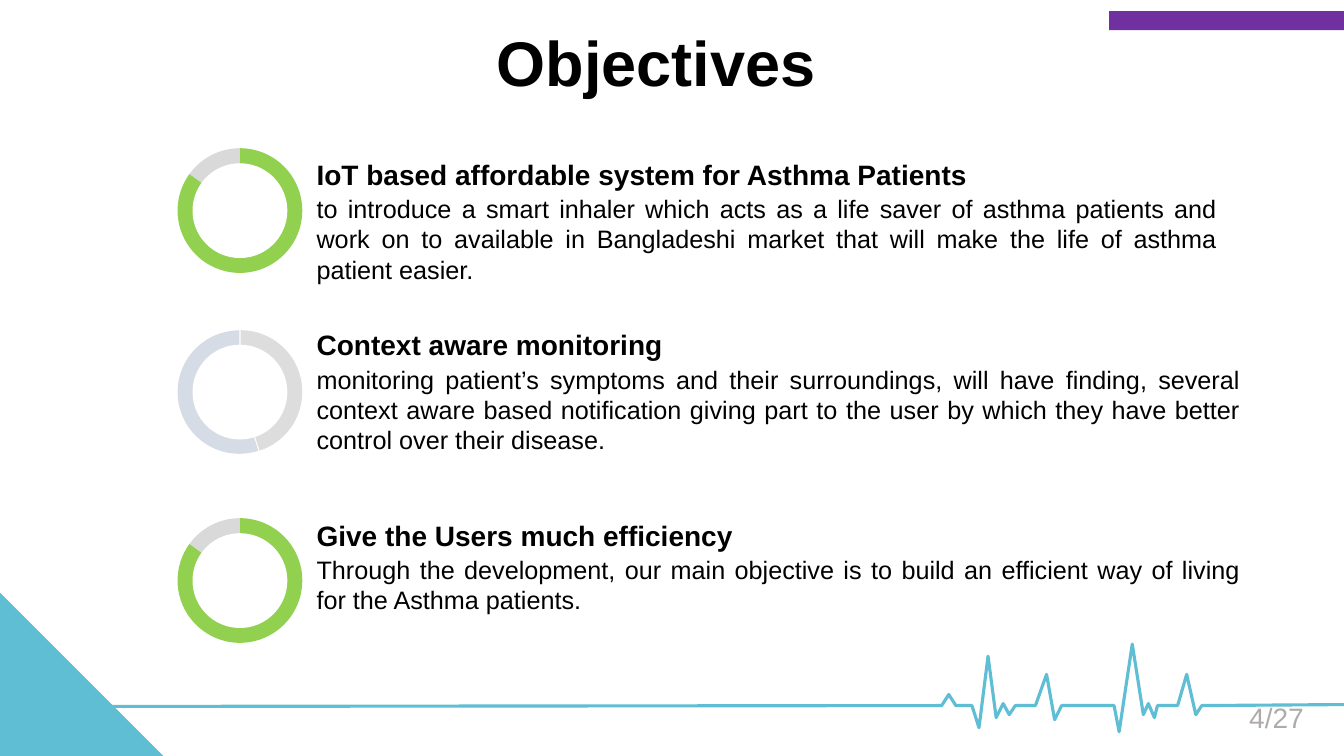
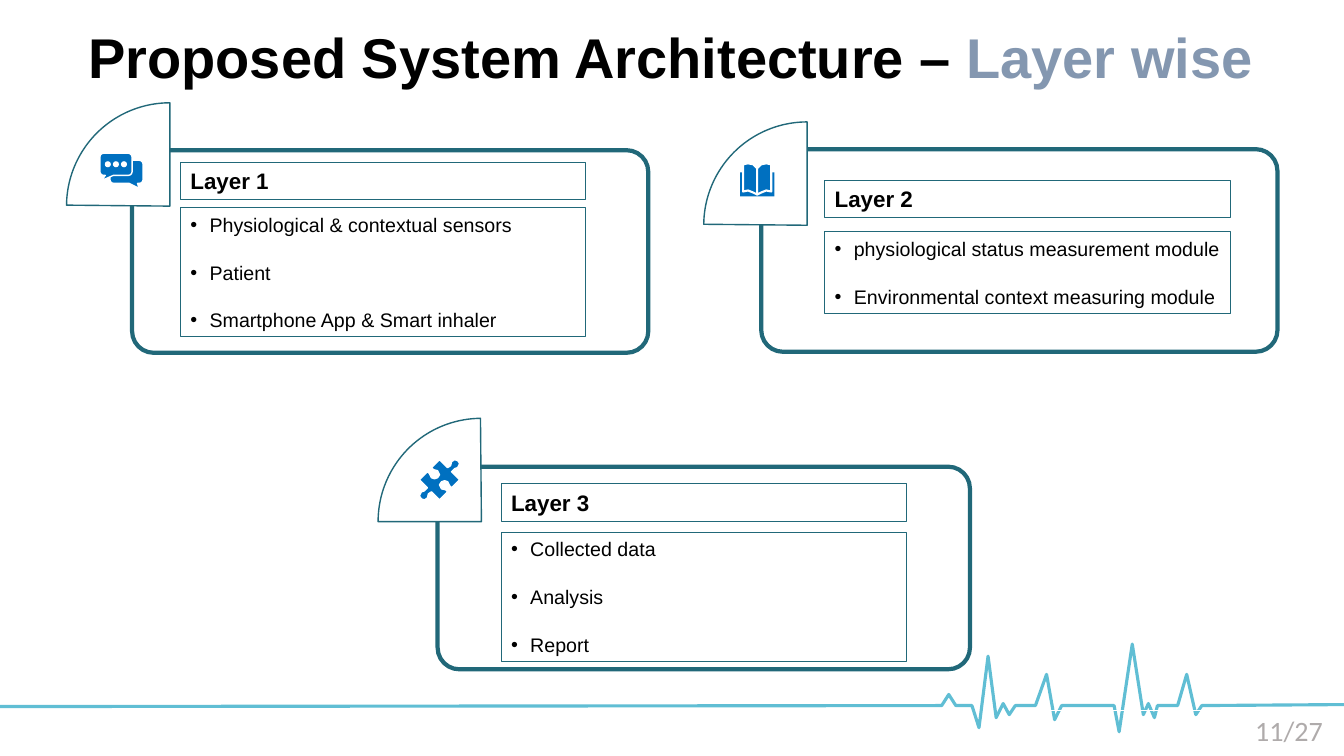
from lxml.etree import SubElement
from pptx import Presentation
from pptx.chart.data import CategoryChartData
from pptx.dml.color import RGBColor
from pptx.enum.chart import XL_CHART_TYPE as ChartType
from pptx.enum.shapes import MSO_SHAPE as Shape
from pptx.enum.text import MSO_ANCHOR as Anchor, PP_ALIGN as Align
from pptx.oxml import parse_xml
from pptx.oxml.ns import nsdecls, qn
from pptx.util import Inches, Pt

BLACK = RGBColor(0x00, 0x00, 0x00)
WHITE = RGBColor(0xFF, 0xFF, 0xFF)
AQUA = RGBColor(0x60, 0xBE, 0xD4)
PURPLE = RGBColor(0x70, 0x30, 0xA0)
TEAL = RGBColor(0x21, 0x68, 0x79)
BLUE = RGBColor(0x00, 0x70, 0xC0)
SLATE = RGBColor(0x84, 0x97, 0xB0)
GRAY = RGBColor(0xAF, 0xAB, 0xAB)
GREEN = RGBColor(0x92, 0xD0, 0x50)
LIGHT_GRAY = RGBColor(0xD9, 0xD9, 0xD9)
PALE_GRAY = RGBColor(0xDD, 0xDD, 0xDD)
PALE_BLUE = RGBColor(0xD6, 0xDC, 0xE5)

FONT = "Arial"

HEARTBEAT = [
    (13.33, 6.99), (11.92, 7), (11.86, 7.09), (11.77, 6.69), (11.68, 7),
    (11.48, 7), (11.45, 7.12), (11.39, 6.98), (11.34, 7.09), (11.23, 6.39),
    (11.1, 7.26), (11.05, 7), (10.53, 7), (10.46, 7.14), (10.38, 6.69),
    (10.27, 7), (10.07, 7), (10.01, 7.09), (9.95, 6.98), (9.88, 7.12),
    (9.8, 6.51), (9.71, 7.22), (9.64, 7), (9.48, 7), (9.41, 6.89),
    (9.34, 7), (-0.02, 7.01),
]
PUZZLE_HALF = [
    (0.08, -0.12), (0.11, -0.14), (0.12, -0.18), (0.15, -0.2), (0.18, -0.19),
    (0.2, -0.16), (0.18, -0.12), (0.15, -0.11), (0.12, -0.08), (0.2, 0),
    (0.12, 0.08), (0.1, 0.06), (0.08, 0.02), (0.05, 0.01), (0.02, 0.02),
    (0, 0.05), (0.02, 0.09), (0.06, 0.1), (0.08, 0.12), (0, 0.2),
]
BOOK_PAGE = [
    (0, 0.05), (0.04, 0.01), (0.09, 0), (0.14, 0.01),
    (0.14, 0.28), (0.09, 0.27), (0.04, 0.29), (0, 0.31),
]

OBJECTIVES = [
    (1.33, 1.56, 8.93, (85, 15), (GREEN, LIGHT_GRAY), 0,
     "IoT based affordable system for Asthma Patients",
     "to introduce a smart inhaler which acts as a life saver of asthma patients and work on "
     "to available in Bangladeshi market that will make the life of asthma patient easier."),
    (3.13, 3.25, 9.16, (45, 55), (PALE_GRAY, PALE_BLUE), 1,
     "Context aware monitoring",
     "monitoring patient’s symptoms and their surroundings, will have finding, several context "
     "aware based notification giving part to the user by which they have better control over "
     "their disease."),
    (5, 5.14, 9.16, (85, 15), (GREEN, LIGHT_GRAY), 0,
     "Give the Users much efficiency",
     "Through the development, our main objective is to build an efficient way of living for "
     "the Asthma patients."),
]
LAYERS = [
    ((1.31, 1.49, 5.12), (0.66, 1.02), (108.33, 162), (1.79, 1.61), 0.45, 1.28, "Layer 1",
     ["Physiological & contextual sensors", "Patient", "Smartphone App & Smart inhaler"]),
    ((7.55, 1.48, 5.12), (6.98, 1.21), (108.33, 162), (8.18, 1.79), 0.51, 0.81, "Layer 2",
     ["physiological status measurement module", "Environmental context measuring module"]),
    ((4.34, 4.63, 5.28), (3.75, 4.15), (108, 161.67), (4.97, 4.8), 0.48, 1.28, "Layer 3",
     ["Collected data", "Analysis", "Report"]),
]


def paint(shape, fill=None, line=None, width=1):
    shape.shadow.inherit = False
    if fill is None:
        shape.fill.background()
    else:
        shape.fill.solid()
        shape.fill.fore_color.rgb = fill
    if line is None:
        shape.line.fill.background()
    else:
        shape.line.color.rgb = line
        shape.line.width = Pt(width)


def add_preset(slide, kind, box, fill=None, line=None, width=1, adjustments=()):
    shape = slide.shapes.add_shape(kind, *map(Inches, box))
    for index, value in enumerate(adjustments):
        shape.adjustments[index] = value
    paint(shape, fill, line, width)
    return shape


def add_outline(slide, points, fill=None, line=None, width=1, close=True):
    corners = [(Inches(x), Inches(y)) for x, y in points]
    builder = slide.shapes.build_freeform(*corners[0])
    builder.add_line_segments(corners[1:], close=close)
    paint(builder.convert_to_shape(), fill, line, width)


def style(font, size, color=BLACK, bold=False, name=FONT):
    font.size = Pt(size)
    font.color.rgb = color
    font.bold = bold
    font.name = name


def write(shape, text, size, color=BLACK, bold=False, name=FONT,
          align=Align.LEFT, anchor=Anchor.TOP, inset=True):
    frame = shape.text_frame
    frame.word_wrap = True
    frame.vertical_anchor = anchor
    if not inset:
        frame.margin_left = frame.margin_right = frame.margin_top = frame.margin_bottom = 0
    frame.text = text
    for paragraph in frame.paragraphs:
        paragraph.alignment = align
        for run in paragraph.runs:
            style(run.font, size, color, bold, name)
    return frame


def add_text(slide, box, text, size, **options):
    return write(slide.shapes.add_textbox(*map(Inches, box)), text, size, **options)


def add_bullets(frame):
    for index, paragraph in enumerate(frame.paragraphs):
        properties = paragraph._p.get_or_add_pPr()
        properties.set("marL", str(Inches(0.19)))
        properties.set("indent", str(-Inches(0.19)))
        SubElement(properties, qn("a:buFont"), typeface=FONT)
        SubElement(properties, qn("a:buChar"), char="•")
        if index:
            paragraph.space_before = Pt(17.4)


def add_page_number(slide, box, text, name=FONT, line=None):
    number = add_preset(slide, Shape.RECTANGLE, box, line=line, width=0.75)
    write(number, text, 20, GRAY, name=name, align=Align.RIGHT, anchor=Anchor.MIDDLE)


def add_slide(presentation):
    slide = presentation.slides.add_slide(presentation.slide_layouts[6])
    add_outline(slide, HEARTBEAT, line=AQUA, width=2.25, close=False)
    return slide


def add_ring(slide, top, values, colors, explosion):
    data = CategoryChartData()
    data.categories = ["1", "2"]
    data.add_series("Series 1", values)
    chart = slide.shapes.add_chart(
        ChartType.PIE, *map(Inches, (1.47, top, 1.82, 1.52)), data).chart
    chart.has_legend = False
    chart.has_title = False
    style(chart.font, 10)
    plot = chart.plots[0]
    plot.vary_by_categories = True
    series = plot.series[0]
    for index, color in enumerate(colors):
        fill = series.points[index].format.fill
        fill.solid()
        fill.fore_color.rgb = color
    if explosion:
        series._element.find(qn("c:dPt")).addprevious(
            parse_xml(f'<c:explosion {nsdecls("c")} val="{explosion}"/>'))
    plot_area = chart._chartSpace.chart.plotArea
    for layout in plot_area.findall(qn("c:layout")):
        plot_area.remove(layout)
    plot_area.insert(0, parse_xml(
        f'<c:layout {nsdecls("c")}><c:manualLayout><c:layoutTarget val="inner"/>'
        '<c:xMode val="edge"/><c:yMode val="edge"/><c:x val="0.16"/><c:y val="0.09"/>'
        '<c:w val="0.68"/><c:h val="0.82"/></c:manualLayout></c:layout>'))
    add_preset(slide, Shape.OVAL, (1.91, top + 0.29, 0.94, 0.94), WHITE)


def add_objective(slide, ring_top, top, width, values, colors, explosion, heading, body):
    add_ring(slide, ring_top, values, colors, explosion)
    add_text(slide, (3.14, top + 0.36, width, 0.91), body, 18,
             align=Align.JUSTIFY, inset=False)
    label = add_preset(slide, Shape.RECTANGLE, (3.14, top, 8.67, 0.34), WHITE)
    write(label, heading, 20, bold=True, inset=False)


def add_layer(slide, frame, quarter, angles, label, offset, height, heading, items):
    left, top = label
    add_preset(slide, Shape.ROUNDED_RECTANGLE, (*frame, 2.01),
               line=TEAL, width=3, adjustments=[0.107])
    add_preset(slide, Shape.PIE, (*quarter, 2.05, 2.05), WHITE, TEAL, 1, angles)
    title = add_preset(slide, Shape.RECTANGLE, (left, top, 4.02, 0.37), line=TEAL, width=0.75)
    write(title, heading, 16, bold=True)
    content = add_preset(slide, Shape.RECTANGLE, (left, top + offset, 4.02, height),
                         line=TEAL, width=0.75)
    add_bullets(write(content, "\n".join(items), 14))


def add_chat_icon(slide):
    for box, tail in [((1.09, 1.59, 0.33, 0.23), (0.38, 0.72)),
                      ((0.99, 1.52, 0.32, 0.22), (-0.44, 0.73))]:
        add_preset(slide, Shape.ROUNDED_RECTANGULAR_CALLOUT, box, BLUE, WHITE, 1, (*tail, 0.17))
    for index in range(3):
        add_preset(slide, Shape.OVAL, (1.04 + 0.08 * index, 1.6, 0.06, 0.06), WHITE)


def add_book_icon(slide, center, top):
    add_preset(slide, Shape.RECTANGLE, (center - 0.17, top + 0.09, 0.34, 0.24), BLUE)
    for side in (-1, 1):
        page = [(center + side * x, top + y) for x, y in BOOK_PAGE]
        add_outline(slide, page, BLUE, WHITE, 1.5)


def add_puzzle_icon(slide, center, middle):
    points = [(center + side * x, middle + side * y)
              for side in (1, -1) for x, y in PUZZLE_HALF]
    add_outline(slide, points, BLUE, WHITE)


def build_objectives(presentation):
    slide = add_slide(presentation)
    add_preset(slide, Shape.RIGHT_TRIANGLE, (0, 5.88, 1.62, 1.62), AQUA)
    add_preset(slide, Shape.RECTANGLE, (11, 0.11, 2.33, 0.19), PURPLE)
    for objective in OBJECTIVES:
        add_objective(slide, *objective)
    add_text(slide, (2.38, 0.23, 8.26, 0.76), "Objectives", 45,
             bold=True, align=Align.CENTER, inset=False)
    add_page_number(slide, (10.03, 6.92, 3, 0.4), "4/27")


def build_architecture(presentation):
    slide = add_slide(presentation)
    for layer in LAYERS:
        add_layer(slide, *layer)
    add_puzzle_icon(slide, 4.36, 4.76)
    add_book_icon(slide, 7.51, 1.62)
    add_chat_icon(slide)
    add_page_number(slide, (10.22, 7.05, 3, 0.4), "11/27", "Calibri", WHITE)
    title = add_text(slide, (0.32, 0.2, 12.66, 0.79), "Proposed System Architecture – ", 40,
                     bold=True, align=Align.CENTER, anchor=Anchor.MIDDLE)
    paragraph = title.paragraphs[0]
    paragraph.line_spacing = 0.9
    accent = paragraph.add_run()
    accent.text = "Layer wise"
    style(accent.font, 40, SLATE, True)


def main():
    presentation = Presentation()
    presentation.slide_width = Inches(13.33)
    presentation.slide_height = Inches(7.5)
    build_objectives(presentation)
    build_architecture(presentation)
    presentation.save("out.pptx")


if __name__ == "__main__":
    main()
